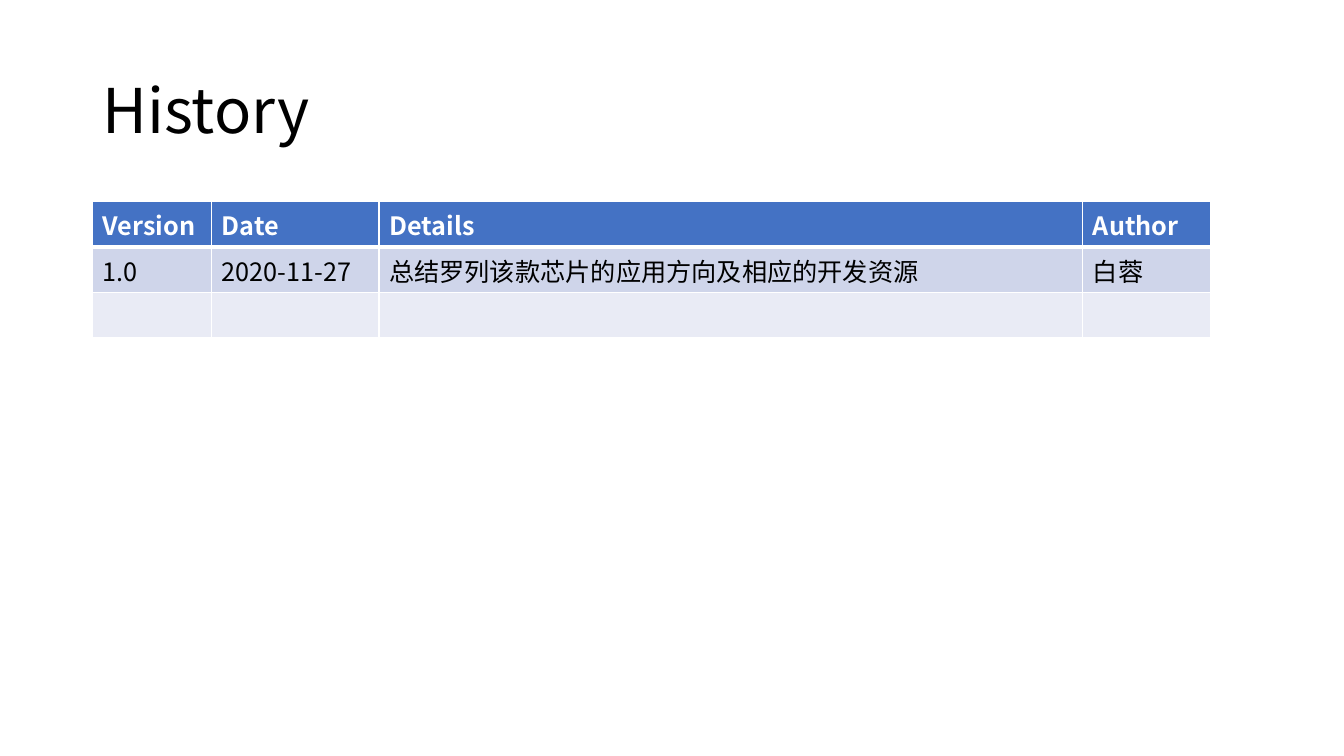
from lxml.etree import SubElement
from pptx import Presentation
from pptx.dml.color import RGBColor
from pptx.enum.text import MSO_ANCHOR
from pptx.oxml.ns import qn
from pptx.util import Inches, Pt

FONT = "Noto Sans CJK SC"
TITLE = "History"
ROWS = [
    ("Version", "Date", "Details", "Author"),
    ("1.0", "2020-11-27", "总结罗列该款芯片的应用方向及相应的开发资源", "白蓉"),
    ("", "", "", ""),
]
ROW_FILLS = ["4472C4", "CFD5EA", "E9EBF5"]
COLUMN_WIDTHS = [1.18, 1.66, 6.98, 1.27]
ROW_HEIGHT = 0.45
LEFT, TABLE_TOP = 0.92, 2
THIN, THICK = 1, 3


def color(value):
    return RGBColor.from_string(value)


def style(paragraph, size, value, bold=False):
    font = paragraph.font
    font.name, font.size, font.bold = FONT, Pt(size), bold
    font.color.rgb = color(value)
    defaults = paragraph._p.pPr.find(qn("a:defRPr"))
    SubElement(defaults, qn("a:ea"), typeface=FONT)


def add_border(cell, side, width):
    line = SubElement(cell._tc.get_or_add_tcPr(), qn(f"a:ln{side}"), w=str(Pt(width)))
    SubElement(SubElement(line, qn("a:solidFill")), qn("a:srgbClr"), val="FFFFFF")


presentation = Presentation()
presentation.slide_width, presentation.slide_height = Inches(13.33), Inches(7.5)
slide = presentation.slides.add_slide(presentation.slide_layouts[6])

title = slide.shapes.add_textbox(Inches(LEFT), Inches(0.4), Inches(11.5), Inches(1.45))
title.text_frame.word_wrap = True
title.text_frame.vertical_anchor = MSO_ANCHOR.MIDDLE
heading = title.text_frame.paragraphs[0]
heading.text = TITLE
heading.line_spacing = 0.9
style(heading, 44, "000000")

table = slide.shapes.add_table(
    len(ROWS), len(COLUMN_WIDTHS), Inches(LEFT), Inches(TABLE_TOP),
    Inches(sum(COLUMN_WIDTHS)), Inches(ROW_HEIGHT * len(ROWS)),
).table
for column, width in zip(table.columns, COLUMN_WIDTHS):
    column.width = Inches(width)

for row_index, (texts, fill) in enumerate(zip(ROWS, ROW_FILLS)):
    header = row_index == 0
    table.rows[row_index].height = Inches(ROW_HEIGHT)
    for column_index, text in enumerate(texts):
        cell = table.cell(row_index, column_index)
        for side in "LRTB":
            under_header = (row_index, side) in [(0, "B"), (1, "T")]
            add_border(cell, side, THICK if under_header else THIN)
        cell.fill.solid()
        cell.fill.fore_color.rgb = color(fill)
        paragraph = cell.text_frame.paragraphs[0]
        paragraph.text = text
        style(paragraph, 18, "FFFFFF" if header else "000000", header)

presentation.save("out.pptx")
